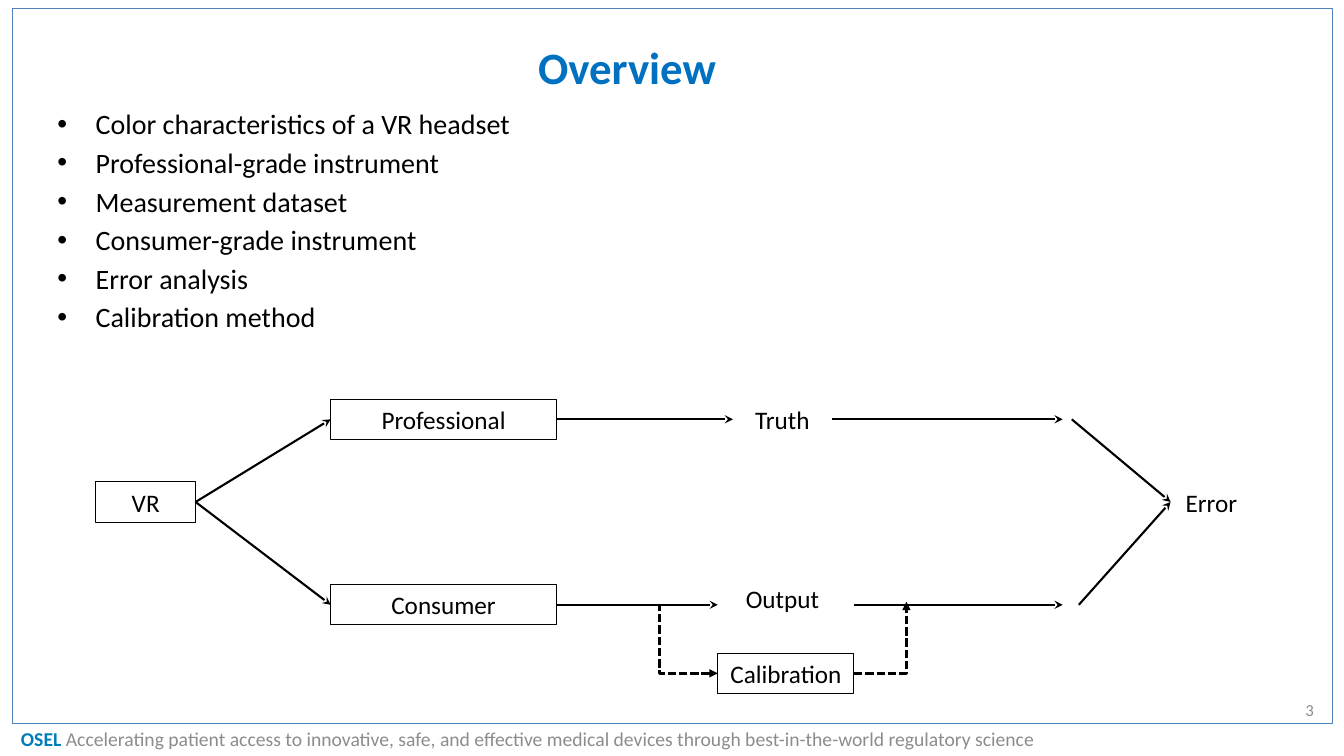
from dataclasses import dataclass

from lxml.etree import SubElement
from pptx import Presentation
from pptx.dml.color import RGBColor
from pptx.enum.dml import MSO_LINE_DASH_STYLE as Dash
from pptx.enum.shapes import MSO_CONNECTOR as Link, MSO_SHAPE as Shape
from pptx.enum.text import MSO_ANCHOR as Anchor, PP_ALIGN as Align
from pptx.oxml.ns import qn
from pptx.util import Inches, Pt


@dataclass(frozen=True)
class Theme:
    font: str = "Calibri"
    ink: RGBColor = RGBColor(0x00, 0x00, 0x00)
    title: RGBColor = RGBColor(0x00, 0x70, 0xC0)
    brand: RGBColor = RGBColor(0x00, 0x7C, 0xBA)
    muted: RGBColor = RGBColor(0x8C, 0x8C, 0x8C)
    frame: RGBColor = RGBColor(0x4F, 0x81, 0xBD)
    title_size: int = 32
    body_size: int = 20
    node_size: int = 18
    footer_size: int = 14
    number_size: int = 12


THEME = Theme()

TOPICS = [
    "Color characteristics of a VR headset",
    "Professional-grade instrument",
    "Measurement dataset",
    "Consumer-grade instrument",
    "Error analysis",
    "Calibration method",
]
MISSION = ("Accelerating patient access to innovative, safe, and effective "
           "medical devices through best-in-the-world regulatory science")

# Flow chart, in inches from its own corner
NODE_HEIGHT = 0.4
TOP_ROW, MIDDLE_ROW, BOTTOM_ROW, CALIBRATION_ROW = 0.2, 1.02, 2.04, 2.72
NODES = {  # name: (left, centre line, width, outlined)
    "VR": (0, MIDDLE_ROW, 0.99, True),
    "Professional": (2.33, TOP_ROW, 2.24, True),
    "Consumer": (2.33, BOTTOM_ROW, 2.24, True),
    "Truth": (6.32, TOP_ROW, 0.98, False),
    "Output": (6.32, 1.98, 0.98, False),
    "Calibration": (6.17, CALIBRATION_ROW, 1.35, True),
    "Error": (10.66, MIDDLE_ROW, 0.81, False),
}
ARROWS = [  # each end is a node or a point
    ("VR", "Professional"),
    ("VR", "Consumer"),
    ("Professional", "Truth"),
    ("Consumer", (6.17, BOTTOM_ROW)),
    ("Truth", (9.59, TOP_ROW)),
    ((7.52, BOTTOM_ROW), (9.59, BOTTOM_ROW)),
    ((9.68, TOP_ROW), "Error"),
    ((9.75, BOTTOM_ROW), "Error"),
]
LEFT_SITE, RIGHT_SITE = 1, 3


def set_all(target, values):
    for name, value in values.items():
        setattr(target, name, value)


def add_span(para, text, size, color, bold=False):
    span = para.add_run()
    span.text = text
    set_all(span.font, {"name": THEME.font, "size": Pt(size), "bold": bold})
    span.font.color.rgb = color


def add_text_box(page, box, anchor=Anchor.MIDDLE):
    frame = page.shapes.add_textbox(*map(Inches, box)).text_frame
    set_all(frame, {"word_wrap": True, "vertical_anchor": anchor})
    return frame


def add_outline(page, box, color, width):
    shape = page.shapes.add_shape(Shape.RECTANGLE, *map(Inches, box))
    shape.shadow.inherit = False
    shape.fill.background()
    shape.line.color.rgb = color
    shape.line.width = Pt(width)
    return shape


def add_title(page, box):
    title = page.shapes.title
    set_all(title, dict(zip(("left", "top", "width", "height"), map(Inches, box))))
    title.text_frame.vertical_anchor = Anchor.MIDDLE
    para = title.text_frame.paragraphs[0]
    para.alignment = Align.CENTER
    add_span(para, "Overview", THEME.title_size, THEME.title, bold=True)


def add_topics(page, box):
    frame = add_text_box(page, box, Anchor.TOP)
    indent = Inches(0.38)
    for index, topic in enumerate(TOPICS):
        para = frame.add_paragraph() if index else frame.paragraphs[0]
        para.space_before = Pt(3.6)
        add_span(para, topic, THEME.body_size, THEME.ink)
        props = para._p.get_or_add_pPr()
        props.set("marL", str(indent))
        props.set("indent", str(-indent))
        SubElement(props, qn("a:buFont"), typeface="Arial")
        SubElement(props, qn("a:buChar"), char="•")


def add_footer(page, box):
    para = add_text_box(page, box).paragraphs[0]
    add_span(para, "OSEL ", THEME.footer_size, THEME.brand, bold=True)
    add_span(para, MISSION, THEME.footer_size, THEME.muted)


def add_page_number(page, box):
    para = add_text_box(page, box).paragraphs[0]
    para.alignment = Align.RIGHT
    add_span(para, "3", THEME.number_size, THEME.muted)


def add_node(page, name, box, outlined):
    if outlined:
        shape = add_outline(page, box, THEME.ink, 0.75)
    else:
        shape = page.shapes.add_textbox(*map(Inches, box))
    frame = shape.text_frame
    set_all(frame, {"word_wrap": True, "vertical_anchor": Anchor.MIDDLE,
                    "margin_left": Inches(0.05), "margin_right": Inches(0.05)})
    frame.paragraphs[0].alignment = Align.CENTER
    add_span(frame.paragraphs[0], name, THEME.node_size, THEME.ink)
    return shape


def add_link(page, kind, start, end, width, head_tag, head):
    link = page.shapes.add_connector(kind, *map(Inches, (*start, *end)))
    link.line.color.rgb = THEME.ink
    link.line.width = Pt(width)
    if kind == Link.ELBOW:
        link.line.dash_style = Dash.SQUARE_DOT
    SubElement(link.line._get_or_add_ln(), qn(head_tag), type=head)
    SubElement(link._element.spPr, qn("a:effectLst"))
    return link


def add_bend(page, start, end, head_tag):
    """Dashed arrow with one corner: level from start, then upright to end."""
    link = add_link(page, Link.ELBOW, start, end, 2, head_tag, "triangle")
    link._element.spPr.find(qn("a:prstGeom")).set("prst", "bentConnector2")
    return link


def add_flow(page, corner):
    left, top = corner

    def place(point):
        return left + point[0], top + point[1]

    shapes = {}
    for name, (x, middle, width, outlined) in NODES.items():
        box = (*place((x, middle - NODE_HEIGHT / 2)), width, NODE_HEIGHT)
        shapes[name] = add_node(page, name, box, outlined)

    for start, end in ARROWS:
        points = [(0, 0) if spot in shapes else place(spot) for spot in (start, end)]
        link = add_link(page, Link.STRAIGHT, *points, 1.5, "a:tailEnd", "stealth")
        if start in shapes:
            link.begin_connect(shapes[start], RIGHT_SITE)
        if end in shapes:
            link.end_connect(shapes[end], LEFT_SITE)

    x, middle, width, _ = NODES["Calibration"]
    into = add_bend(page, place((x, middle)), place((5.59, BOTTOM_ROW)), "a:headEnd")
    into.begin_connect(shapes["Calibration"], LEFT_SITE)
    out = add_bend(page, place((x + width, middle)), place((8.04, 2.01)), "a:tailEnd")
    out.begin_connect(shapes["Calibration"], RIGHT_SITE)


def main():
    deck = Presentation()
    set_all(deck, {"slide_width": Inches(13.33), "slide_height": Inches(7.5)})
    page = deck.slides.add_slide(deck.slide_layouts.get_by_name("Title Only"))
    add_outline(page, (0.12, 0.08, 13.1, 7.1), THEME.frame, 0.5)
    add_title(page, (0.47, 0.16, 11.5, 1.01))
    add_topics(page, (0.47, 1.01, 12.41, 2.5))
    add_flow(page, (0.95, 3.96))
    add_page_number(page, (10.02, 6.84, 3.11, 0.4))
    add_footer(page, (0.11, 7.13, 11.33, 0.4))
    deck.save("out.pptx")


if __name__ == "__main__":
    main()
